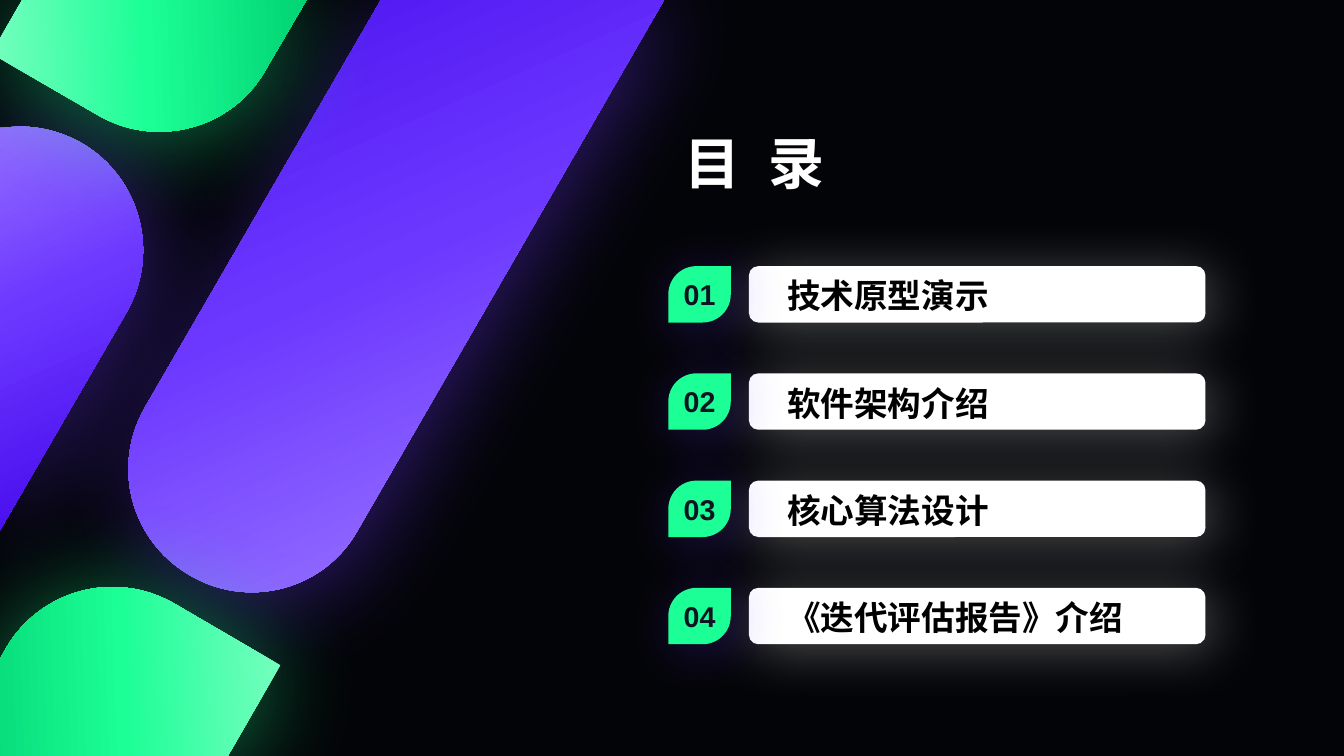
"""Build a dark contents slide with glowing diagonal capsules and four numbered entries."""
import dataclasses
import math

import lxml.etree
import pptx
import pptx.dml.color
import pptx.enum.shapes
import pptx.enum.text
import pptx.oxml.ns
import pptx.util


@dataclasses.dataclass(frozen=True)
class Theme:
    font: str = "Arial"
    back: str = "030407"
    white: str = "FFFFFF"
    black: str = "000000"
    ink: str = "0F1423"
    green: str = "1CFE96"
    purple: str = "6C38FF"
    greens: tuple = ("77FEC0", "1CFE96", "01D372")
    purples: tuple = ("A788FF", "6C38FF", "3D00E9")
    title: float = 40
    entry: float = 24
    number: float = 20.4


theme = Theme()
rgb = pptx.dml.color.RGBColor.from_string
qn = pptx.oxml.ns.qn
inch = pptx.util.Inches
shape_type = pptx.enum.shapes.MSO_SHAPE


def write(sp, text, size, color, align="LEFT", anchor="TOP", wrap=True, spacing=0):
    tf = sp.text_frame
    tf.word_wrap = wrap
    tf.vertical_anchor = getattr(pptx.enum.text.MSO_ANCHOR, anchor)
    p = tf.paragraphs[0]
    p.alignment = getattr(pptx.enum.text.PP_ALIGN, align)
    r = p.add_run()
    r.text = text
    r.font.name, r.font.size, r.font.bold = theme.font, pptx.util.Pt(size), True
    r.font.color.rgb = rgb(color)
    if spacing:
        r.font._element.set("spc", str(int(spacing * 100)))


def glow(sp, color, alpha, blur, dist, angle):
    sp.line.fill.background()
    sp.shadow.inherit = False
    effects = sp._element.spPr.find(qn("a:effectLst"))
    outer = lxml.etree.SubElement(
        effects, qn("a:outerShdw"), blurRad=str(pptx.util.Pt(blur)),
        dist=str(pptx.util.Pt(dist)), dir=str(angle * 60000), algn="ctr", rotWithShape="0")
    tint = lxml.etree.SubElement(outer, qn("a:srgbClr"), val=color)
    lxml.etree.SubElement(tint, qn("a:alpha"), val=str(alpha * 1000))


prs = pptx.Presentation()
prs.slide_width, prs.slide_height = inch(40 / 3), inch(7.5)
s = prs.slides.add_slide(prs.slide_layouts[6])
s.background.fill.solid()
s.background.fill.fore_color.rgb = rgb(theme.back)

purple_look = (theme.purples, 54, (theme.purple, 40, 70, 11, 45))
green_look = (theme.greens, 302, (theme.green, 45, 74, 4, 90))
left_capsule = [(1.26, 3.09), (0, 5.26), (0, 1.27), (0.03, 1.27),
                (0.29, 1.23, 0.56, 1.28, 0.81, 1.42), (1.39, 1.76, 1.59, 2.5, 1.26, 3.09)]
long_capsule = [(1.44, 4.04), (3.78, 0), (6.59, 0), (6.57, 0.03), (3.55, 5.26),
                (3.22, 5.85, 2.47, 6.05, 1.89, 5.71), (1.3, 5.37, 1.1, 4.63, 1.44, 4.04)]
top_capsule = [(0.22, 0), (0, 0.38), (0, 0.58), (0.97, 1.14),
               (1.55, 1.48, 2.3, 1.28, 2.63, 0.7), (3.04, 0)]
bottom_capsule = [(2.26, 7.5), (2.78, 6.6), (1.73, 5.99),
                  (1.14, 5.65, 0.4, 5.85, 0.06, 6.43), (0, 6.54), (0, 7.5)]
capsules = [(left_capsule, 120, purple_look), (long_capsule, 300, purple_look),
            (top_capsule, 300, green_look), (bottom_capsule, 120, green_look)]
units = 1000
for outline, turn, (colors, angle, halo) in capsules:
    cos, sin = math.cos(math.radians(turn)), math.sin(math.radians(turn))
    flat = [(x * cos + y * sin, y * cos - x * sin)
            for part in outline for x, y in zip(part[::2], part[1::2])]
    points = [(round(x * units), round(y * units)) for x, y in flat]
    builder = s.shapes.build_freeform(*points[0], scale=inch(1) / units)
    builder.add_line_segments(points[1:], close=True)
    sp = builder.convert_to_shape()

    segments = iter(sp._element.spPr.findall(".//" + qn("a:lnTo")))
    for part in outline[1:]:
        curve = next(segments)
        if len(part) == 6:
            curve_to = lxml.etree.Element(qn("a:cubicBezTo"))
            curve.addprevious(curve_to)
            for segment in (curve, next(segments), next(segments)):
                curve_to.append(segment[0])
                segment.getparent().remove(segment)

    mid_x, mid_y = sp.left + sp.width / 2, sp.top + sp.height / 2
    sp.left = round(mid_x * cos - mid_y * sin - sp.width / 2)
    sp.top = round(mid_x * sin + mid_y * cos - sp.height / 2)
    sp.rotation = turn
    sp.fill.gradient()
    sp.fill.gradient_angle = angle
    stops = sp.fill._fill._gradFill.find(qn("a:gsLst"))
    for stop in list(stops):
        stops.remove(stop)
    for position, color in zip((0, 49, 100), colors):
        stop = lxml.etree.SubElement(stops, qn("a:gs"), pos=str(position * 1000))
        lxml.etree.SubElement(stop, qn("a:srgbClr"), val=color)
    glow(sp, *halo)

first_row, row_pitch, row_height = 2.64, 1.064, 0.56
entries = ["技术原型演示", "软件架构介绍", "核心算法设计", "《迭代评估报告》介绍"]
for row, entry in enumerate(entries):
    top = first_row + row * row_pitch
    card = s.shapes.add_shape(shape_type.ROUNDED_RECTANGLE, inch(7.43), inch(top),
                              inch(4.53), inch(row_height))
    badge = s.shapes.add_shape(shape_type.ROUND_2_DIAG_RECTANGLE, inch(6.63), inch(top),
                               inch(0.62), inch(row_height))
    badge.adjustments[0], badge.adjustments[1] = 0.5, 0
    for sp, color, halo in ((card, theme.white, theme.white), (badge, theme.green, theme.purple)):
        sp.fill.solid()
        sp.fill.fore_color.rgb = rgb(color)
        glow(sp, halo, 30, 41, 6, 45)
    write(badge, f"{row + 1:02}", theme.number, theme.ink, align="CENTER", anchor="MIDDLE", wrap=False)
    label = s.shapes.add_textbox(inch(7.71), inch(top + 0.01), inch(4.04), inch(row_height))
    write(label, entry, theme.entry, theme.black, anchor="MIDDLE")

title = s.shapes.add_textbox(inch(6.69), inch(1.23), inch(2.16), inch(0.77))
write(title, "目 录", theme.title, theme.white, spacing=5.5)
title.text_frame.auto_size = pptx.enum.text.MSO_AUTO_SIZE.SHAPE_TO_FIT_TEXT

prs.save("out.pptx")
